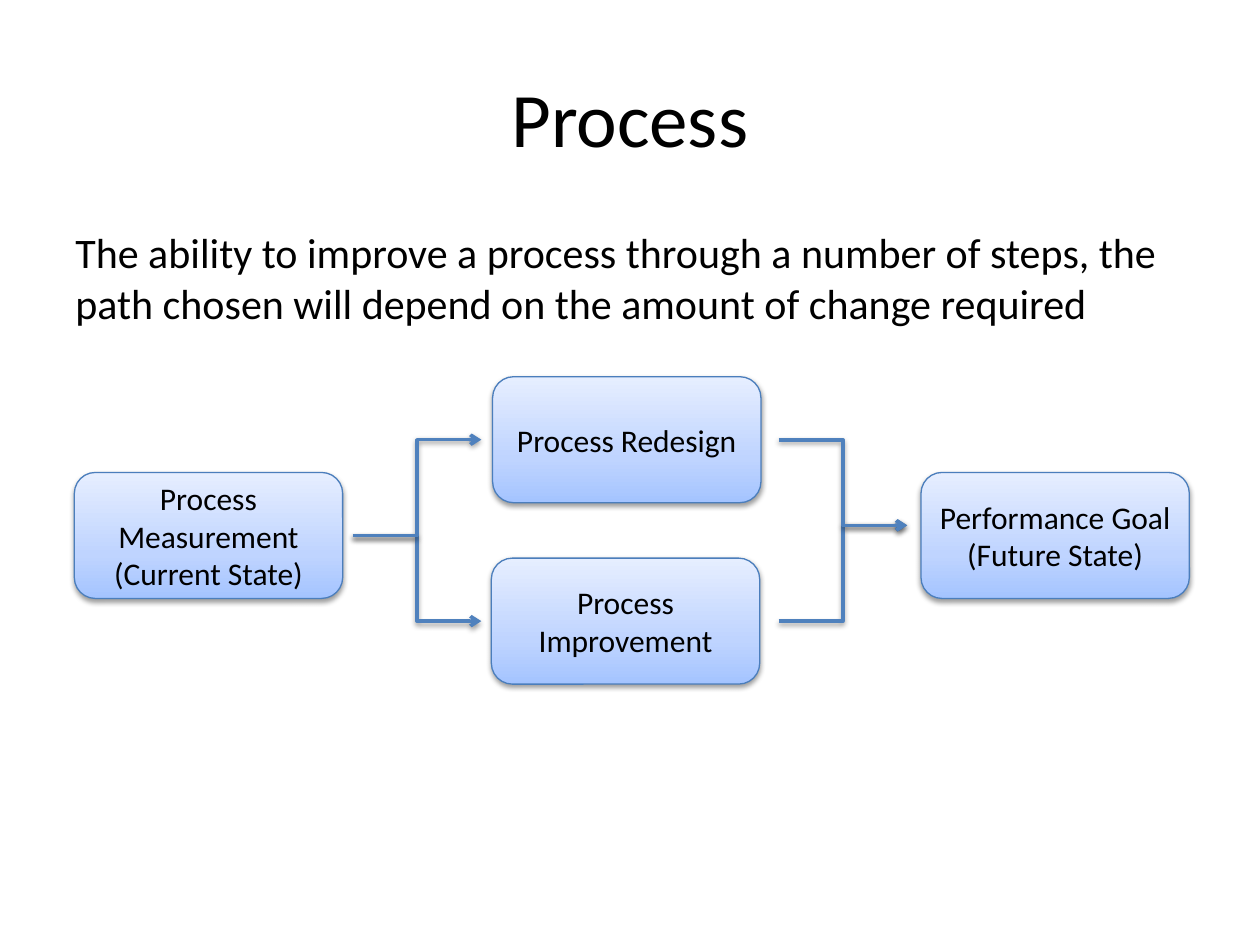
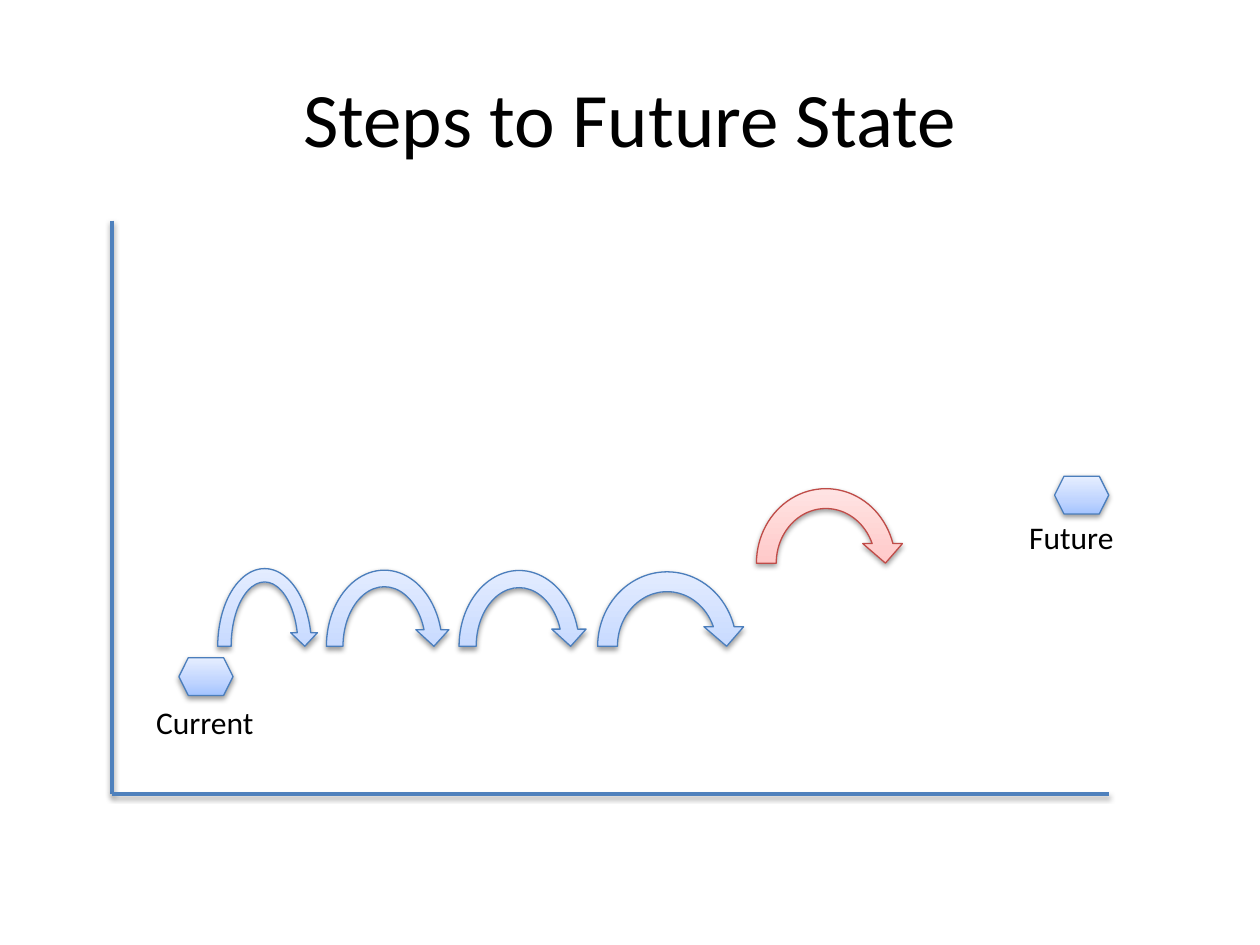
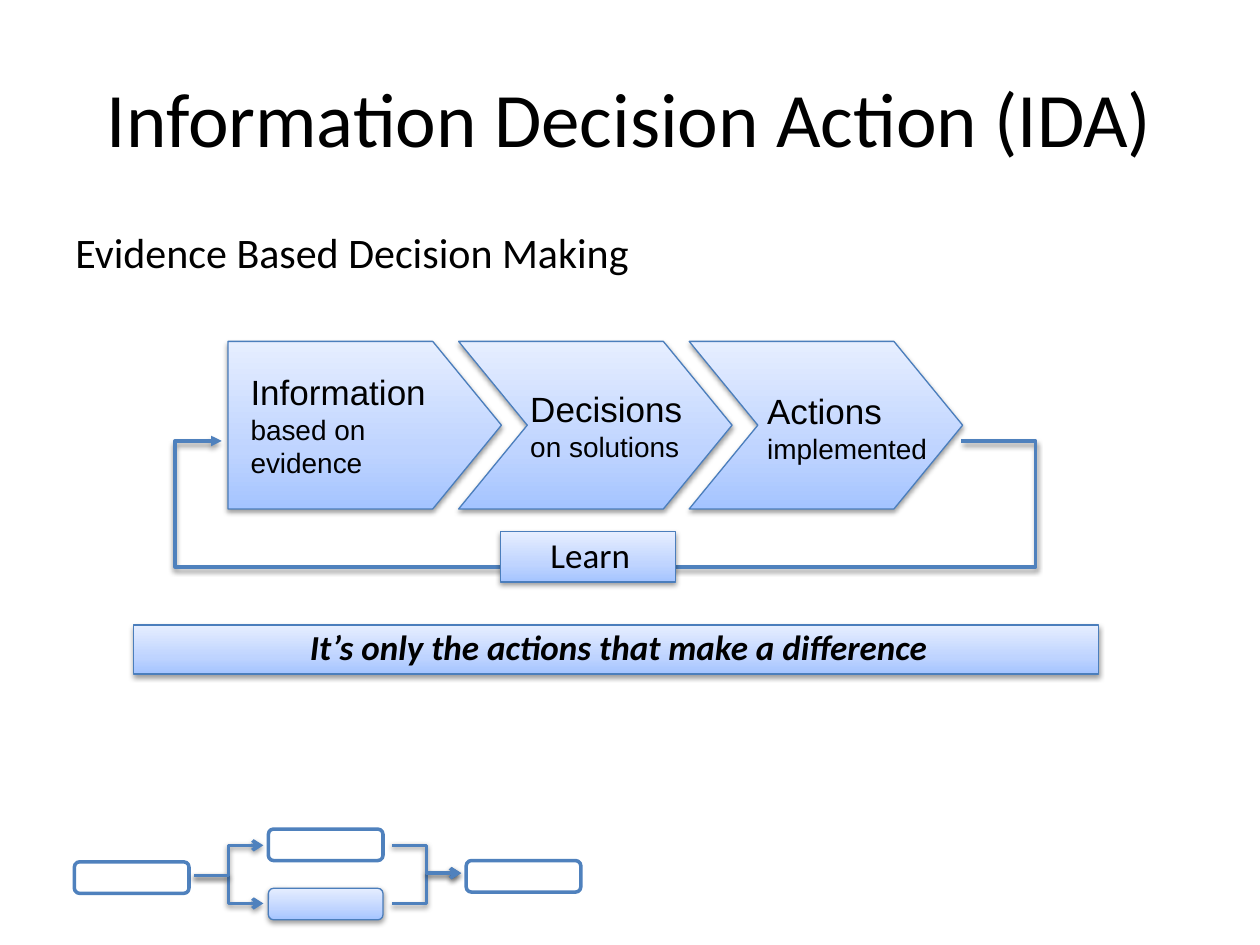
from dataclasses import dataclass
from itertools import accumulate
from typing import NamedTuple

from lxml.etree import SubElement
from copy import deepcopy
from pptx import Presentation
from pptx.dml.color import RGBColor
from pptx.enum.shapes import MSO_CONNECTOR, MSO_SHAPE
from pptx.enum.text import MSO_ANCHOR, MSO_AUTO_SIZE, PP_ALIGN
from pptx.oxml.ns import qn
from pptx.util import Emu, Inches, Pt

COLUMNS, ROWS = 100, 75
BLACK, WHITE, ACCENT = "000000", "FFFFFF", "4F81BD"
ARC_ADJUSTMENTS = (0.125, 11.42, 204.58, 108, 0.125)


class Box(NamedTuple):
    x: float
    y: float
    w: float
    h: float


class Run(NamedTuple):
    text: str
    size: float = 18
    font: str = "Calibri"
    strong: bool = False


class Look(NamedTuple):
    stops: tuple
    line: str
    width: float = 0.75
    shadow: bool = True


BLUE = Look(((0, "A4C4FF"), (0.35, "BFD4FF"), (1, "E6EEFF")), "4B7EBC")
RED = Look(((0, "FFA6A5"), (0.35, "FFC0BF"), (1, "FFE7E7")), "BF4C48")
OUTLINE = Look(((0, WHITE),), ACCENT, 2, False)
HOLLOW = Look((), ACCENT, 2)

TITLE = Box(5, 3, 90, 12.5)
BODY = Box(5, 17.5, 90, 49.5)
BAND_INSETS = (3.6, 0.2, 3.2, 0.2)


@dataclass
class Branches:
    fork: tuple[float, float]
    join: tuple[float, float]
    reach: float
    rows: tuple[float, float]


prs = Presentation()
prs.slide_width, prs.slide_height = Inches(10), Inches(7.5)


def col(n: float) -> Emu:
    return Emu(round(prs.slide_width * n / COLUMNS))


def row(n: float) -> Emu:
    return Emu(round(prs.slide_height * n / ROWS))


def place(box: Box) -> tuple:
    return col(box.x), row(box.y), col(box.w), row(box.h)


def rgb(value: str) -> RGBColor:
    return RGBColor.from_string(value)


def add_shadow(sp) -> None:
    effects = SubElement(sp._element.spPr, qn("a:effectLst"))
    shadow = SubElement(effects, qn("a:outerShdw"), blurRad=str(Pt(3.1)), dist=str(Pt(1.6)),
                        dir="5400000", rotWithShape="0")
    color = SubElement(shadow, qn("a:srgbClr"), val=BLACK)
    SubElement(color, qn("a:alpha"), val="38000")


def add_arrowhead(sp, kind: str) -> None:
    SubElement(sp.line._get_or_add_ln(), qn("a:tailEnd"), type=kind)


def set_line(sp, color: str, width: float) -> None:
    sp.line.color.rgb = rgb(color)
    sp.line.width = Pt(width)


def fill_gradient(sp, stops: tuple) -> None:
    sp.fill.gradient()
    sp.fill.gradient_angle = 90
    stop_list = sp._element.spPr.find(qn("a:gradFill")).find(qn("a:gsLst"))
    while len(stop_list) < len(stops):
        stop_list.append(deepcopy(stop_list[0]))
    for stop, (position, color) in zip(sp.fill.gradient_stops, stops):
        stop.position = position
        stop.color.rgb = rgb(color)


def apply_look(sp, look: Look) -> None:
    if len(look.stops) > 1:
        fill_gradient(sp, look.stops)
    elif look.stops:
        sp.fill.solid()
        sp.fill.fore_color.rgb = rgb(look.stops[0][1])
    else:
        sp.fill.background()
    set_line(sp, look.line, look.width)
    if look.shadow:
        add_shadow(sp)
    else:
        sp.shadow.inherit = False


def write(tf, paragraphs: list[list[Run]], align=PP_ALIGN.LEFT, spacing: float = 1) -> None:
    for i, runs in enumerate(paragraphs):
        p = tf.paragraphs[0] if i == 0 else tf.add_paragraph()
        p.alignment = align
        p.line_spacing = spacing
        for run in runs:
            if run.text == "\n":
                p.add_line_break()
                SubElement(p._p[-1], qn("a:rPr"), sz=str(run.size * 100))
                continue
            r = p.add_run()
            r.text = run.text
            r.font.size = Pt(run.size)
            r.font.name = run.font
            r.font.bold = r.font.italic = run.strong
            r.font.color.rgb = rgb(BLACK)


def add_block(s, box: Box, run: Run, align=PP_ALIGN.LEFT, anchor=MSO_ANCHOR.TOP) -> None:
    tf = s.shapes.add_textbox(*place(box)).text_frame
    tf.word_wrap = True
    tf.vertical_anchor = anchor
    write(tf, [[run]], align)


def add_label(s, box: Box, paragraphs: list[list[Run]]) -> None:
    tf = s.shapes.add_textbox(*place(box)).text_frame
    tf.word_wrap = False
    tf.auto_size = MSO_AUTO_SIZE.SHAPE_TO_FIT_TEXT
    write(tf, paragraphs)


def add_figure(s, kind, box: Box, look: Look = BLUE, adjustments: tuple = ()):
    sp = s.shapes.add_shape(kind, *place(box))
    for i, value in enumerate(adjustments):
        sp.adjustments[i] = value
    apply_look(sp, look)
    return sp


def add_step(s, box: Box, *lines: str) -> None:
    tf = add_figure(s, MSO_SHAPE.ROUNDED_RECTANGLE, box).text_frame
    tf.word_wrap = True
    tf.vertical_anchor = MSO_ANCHOR.MIDDLE
    write(tf, [[Run(line)] for line in lines], PP_ALIGN.CENTER)


def add_band(s, box: Box, run: Run) -> None:
    tf = add_figure(s, MSO_SHAPE.RECTANGLE, box).text_frame
    tf.word_wrap = True
    tf.vertical_anchor = MSO_ANCHOR.MIDDLE
    left, top, right, bottom = BAND_INSETS
    tf.margin_left, tf.margin_right = col(left), col(right)
    tf.margin_top, tf.margin_bottom = row(top), row(bottom)
    write(tf, [[run]], PP_ALIGN.CENTER, 0.9)


def add_line(s, kind, start: tuple, end: tuple, arrow: bool = False) -> None:
    sp = s.shapes.add_connector(kind, col(start[0]), row(start[1]), col(end[0]), row(end[1]))
    set_line(sp, ACCENT, 2)
    if arrow:
        add_arrowhead(sp, "arrow")
    add_shadow(sp)


def add_branches(s, branches: Branches) -> None:
    for y in branches.rows:
        fork, join = branches.fork, branches.join
        add_line(s, MSO_CONNECTOR.ELBOW, fork, (fork[0] + branches.reach, y), True)
        add_line(s, MSO_CONNECTOR.ELBOW, (join[0] - branches.reach, y), join, True)


def add_slide(title: str, body: str = ""):
    s = prs.slides.add_slide(prs.slide_layouts[6])
    add_block(s, TITLE, Run(title, 44), PP_ALIGN.CENTER, MSO_ANCHOR.MIDDLE)
    if body:
        add_block(s, BODY, Run(body, 24))
    return s


def build_process() -> None:
    s = add_slide("Process", "The ability to improve a process through a number of steps, "
                             "the path chosen will depend on the amount of change required")
    steps = (
        (5.9, 37.5, "Process Measurement (Current State)"),
        (39.1, 29.9, "Process Redesign"),
        (73.1, 37.5, "Performance Goal", "(Future State)"),
        (39, 44.3, "Process Improvement"),
    )
    for x, y, *lines in steps:
        add_step(s, Box(x, y, 21.3, 10), *lines)
    add_branches(s, Branches((28, 42.5), (72, 41.7), 10.2, (49.3, 34.9)))


def build_future_state() -> None:
    s = add_slide("Steps to Future State")
    origin = (8.9, 63)
    for end in ((8.9, 17.5), (88, 63)):
        add_line(s, MSO_CONNECTOR.STRAIGHT, end, origin)
    for x, y in ((14.2, 52.2), (83.7, 37.8)):
        add_figure(s, MSO_SHAPE.HEXAGON, Box(x, y, 4.3, 3))
    add_label(s, Box(11.4, 55.3, 9.9, 4), [[Run("Current")]])
    add_label(s, Box(80.7, 40.6, 8.8, 4), [[Run("Future")]])
    widths = (8.5, 10.5, 10.9, 12.6, 12.6)
    looks = (BLUE,) * 4 + (RED,)
    for x, w, look in zip(accumulate(widths, initial=16.75), widths, looks):
        y = 38 if look is RED else 44.6
        add_figure(s, MSO_SHAPE.CIRCULAR_ARROW, Box(x, y, w, 13.4), look, ARC_ADJUSTMENTS)


def build_ida() -> None:
    s = add_slide("Information Decision Action (IDA)", "Evidence Based Decision Making")
    mini_steps = ((5.9, 68.4, OUTLINE), (21.3, 65.8, OUTLINE), (21.3, 70.5, BLUE), (37, 68.3, OUTLINE))
    for x, y, look in mini_steps:
        add_figure(s, MSO_SHAPE.ROUNDED_RECTANGLE, Box(x, y, 9.1, 2.5), look)
    add_branches(s, Branches((15.4, 69.5), (36.6, 69.3), 5.5, (71.7, 67.1)))

    for i, kind in enumerate((MSO_SHAPE.PENTAGON, MSO_SHAPE.CHEVRON, MSO_SHAPE.CHEVRON)):
        add_figure(s, kind, Box(18.1 + 18.3 * i, 27.1, 21.7, 13.3), BLUE, (0.41,))

    loop = [(76.3, 35), (82.2, 35), (82.2, 45), (13.9, 45), (13.9, 35), (17.6, 35)]
    start, *corners = [(col(x), row(y)) for x, y in loop]
    builder = s.shapes.build_freeform(*start)
    builder.add_line_segments(corners, close=False)
    sp = builder.convert_to_shape()
    apply_look(sp, HOLLOW)
    add_arrowhead(sp, "triangle")

    add_band(s, Box(10.6, 49.6, 76.6, 3.9),
             Run("It’s only the actions that make a difference", 20, strong=True))
    add_label(s, Box(18.9, 28.9, 16, 9.8), [
        [Run("Information", 20, "Arial")],
        [Run("based on ", 16, "Arial"), Run("\n", 16), Run("evidence", 16, "Arial")],
    ])
    add_label(s, Box(41.1, 30.3, 14.8, 7), [
        [Run("Decisions", 20, "Arial"), Run(" ", 18, "Arial"), Run("\n"),
         Run("on solutions", 16, "Arial")],
    ])
    add_label(s, Box(59.9, 30.4, 14.7, 7), [
        [Run("Actions", 20, "Arial")],
        [Run("implemented", 16, "Arial")],
    ])
    add_band(s, Box(39.7, 42.2, 13.9, 4), Run("Learn", 20))


def main() -> None:
    build_process()
    build_future_state()
    build_ida()
    prs.save("out.pptx")


if __name__ == "__main__":
    main()
